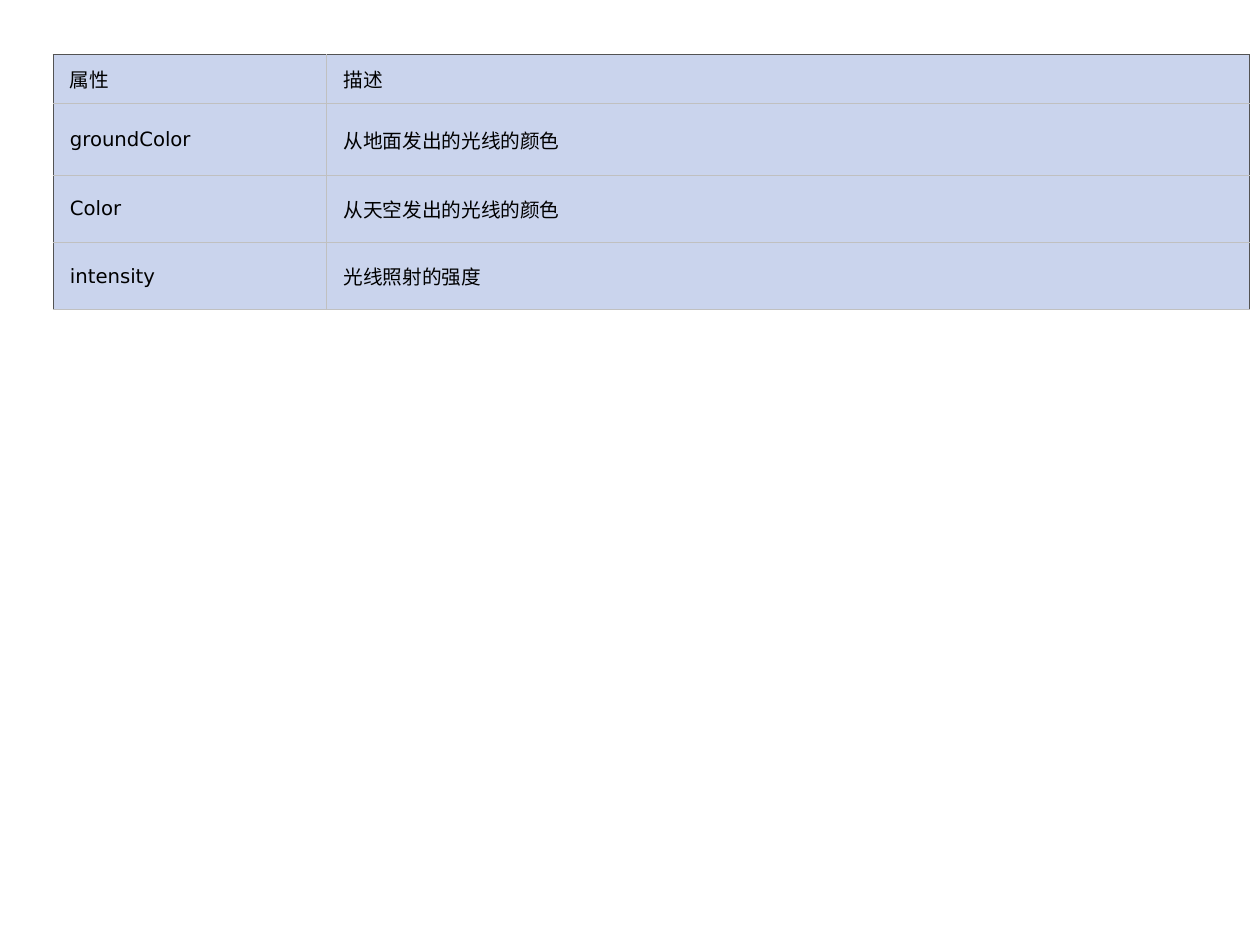
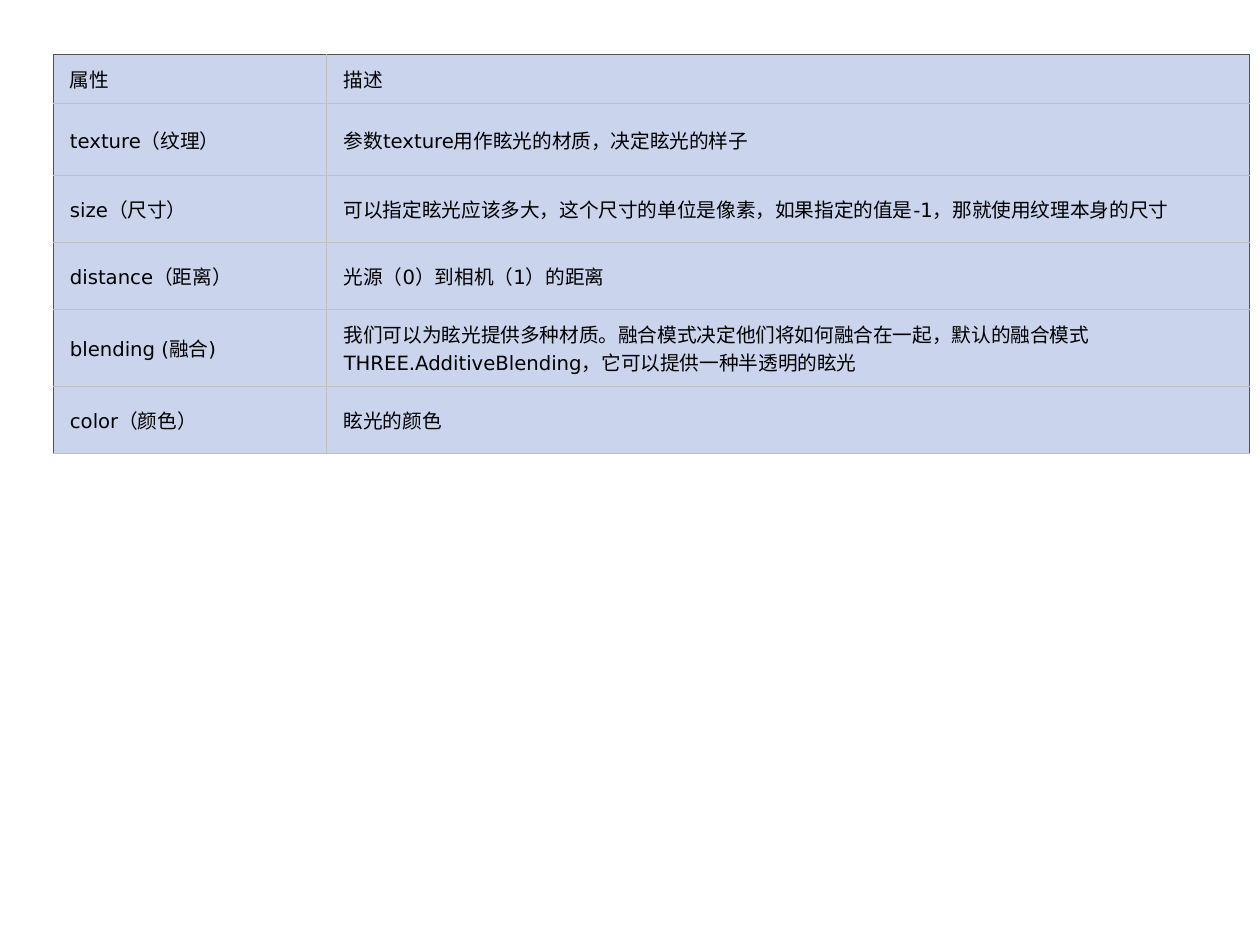
from dataclasses import dataclass

from lxml.etree import Element, SubElement
from pptx import Presentation
from pptx.dml.color import RGBColor
from pptx.enum.text import MSO_ANCHOR
from pptx.oxml.ns import qn
from pptx.table import _Cell as Cell
from pptx.util import Inches, Pt

# Shared style
FONT, FONT_SIZE = "DejaVu Sans", 16
TEXT, FILL = "000000", "CAD4ED"
OUTER_LINE, INNER_LINE = "535353", "C0C0C0"
LINE_WIDTH = 1

# Shared table layout, in inches
LEFT, TOP, FRAME_HEIGHT = 0.6, 0.62, 9.74
COLUMN_WIDTHS = (3.09, 10.41)
HEADER_HEIGHT, FIRST_ROW_HEIGHT, ROW_HEIGHT = 0.55, 0.81, 0.76
MARGIN_X, MARGIN_Y = 0.19, 0.11


@dataclass(frozen=True)
class Property:
    name: str
    description: str


HEADER = Property("属性", "描述")

HEMISPHERE_LIGHT = [
    Property("groundColor", "从地面发出的光线的颜色"),
    Property("Color", "从天空发出的光线的颜色"),
    Property("intensity", "光线照射的强度"),
]

LENS_FLARE = [
    Property("texture（纹理）", "参数texture用作眩光的材质，决定眩光的样子"),
    Property("size（尺寸）",
             "可以指定眩光应该多大，这个尺寸的单位是像素，"
             "如果指定的值是-1，那就使用纹理本身的尺寸"),
    Property("distance（距离）", "光源（0）到相机（1）的距离"),
    Property("blending (融合)",
             "我们可以为眩光提供多种材质。融合模式决定他们将如何融合在一起，"
             "默认的融合模式THREE.AdditiveBlending，它可以提供一种半透明的眩光"),
    Property("color（颜色）", "眩光的颜色"),
]


def color(value: str) -> RGBColor:
    return RGBColor.from_string(value)


def set_borders(cell: Cell, left: str, right: str, top: str, bottom: str) -> None:
    """Put the four border lines ahead of the cell's fill."""
    properties = cell._tc.get_or_add_tcPr()
    sides = {"a:lnL": left, "a:lnR": right, "a:lnT": top, "a:lnB": bottom}
    for index, (tag, line_color) in enumerate(sides.items()):
        line = Element(qn(tag), w=str(Pt(LINE_WIDTH)))
        fill = SubElement(line, qn("a:solidFill"))
        SubElement(fill, qn("a:srgbClr"), val=line_color)
        properties.insert(index, line)


def fill_cell(cell: Cell, text: str) -> None:
    cell.fill.solid()
    cell.fill.fore_color.rgb = color(FILL)
    cell.vertical_anchor = MSO_ANCHOR.MIDDLE
    cell.margin_left = cell.margin_right = Inches(MARGIN_X)
    cell.margin_top = cell.margin_bottom = Inches(MARGIN_Y)
    run = cell.text_frame.paragraphs[0].add_run()
    run.text = text
    run.font.name = FONT
    run.font.size = Pt(FONT_SIZE)
    run.font.color.rgb = color(TEXT)


def add_property_slide(presentation: Presentation, properties: list[Property]) -> None:
    slide = presentation.slides.add_slide(presentation.slide_layouts[6])
    rows = [HEADER, *properties]
    frame = slide.shapes.add_table(
        len(rows), len(COLUMN_WIDTHS), Inches(LEFT), Inches(TOP),
        Inches(sum(COLUMN_WIDTHS)), Inches(FRAME_HEIGHT))
    table = frame.table
    table.first_row = table.horz_banding = False

    # Column widths and row heights
    for column, width in zip(table.columns, COLUMN_WIDTHS):
        column.width = Inches(width)
    heights = [HEADER_HEIGHT, FIRST_ROW_HEIGHT] + [ROW_HEIGHT] * (len(rows) - 2)
    for row, height in zip(table.rows, heights):
        row.height = Inches(height)
    frame.height = Inches(FRAME_HEIGHT)

    # Cells: dark lines at the left, top and right edges, light ones elsewhere
    last_column = len(COLUMN_WIDTHS) - 1
    for row_index, entry in enumerate(rows):
        for column_index, text in enumerate((entry.name, entry.description)):
            cell = table.cell(row_index, column_index)
            fill_cell(cell, text)
            set_borders(
                cell,
                left=OUTER_LINE if column_index == 0 else INNER_LINE,
                right=OUTER_LINE if column_index == last_column else INNER_LINE,
                top=OUTER_LINE if row_index == 0 else INNER_LINE,
                bottom=INNER_LINE)


def main() -> None:
    presentation = Presentation()
    presentation.slide_width = Inches(14.22)
    presentation.slide_height = Inches(10.67)
    for properties in (HEMISPHERE_LIGHT, LENS_FLARE):
        add_property_slide(presentation, properties)
    presentation.save("out.pptx")


if __name__ == "__main__":
    main()
